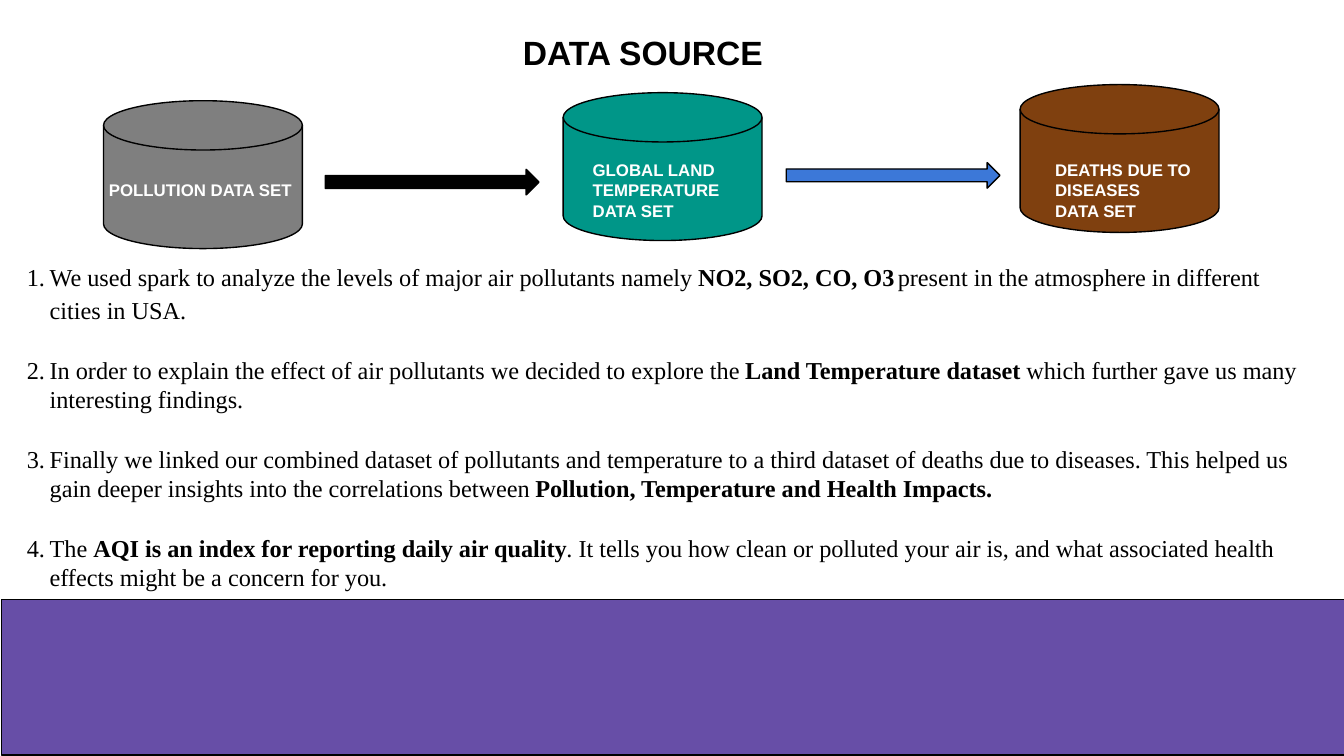
from pptx import Presentation
from pptx.dml.color import RGBColor
from pptx.enum.shapes import MSO_SHAPE
from pptx.enum.text import MSO_ANCHOR, PP_ALIGN
from pptx.oxml.xmlchemy import OxmlElement
from pptx.util import Inches, Pt

COLORS = {
    "black": "000000",
    "white": "FFFFFF",
    "teal": "009688",
    "brown": "7F400F",
    "gray": "7F7F7F",
    "blue": "3C78D8",
    "purple": "674EA7",
}

DATA_SETS = [
    ((0.77, 0.75), "gray", (0, 0.55, 1.71), ["POLLUTION DATA SET"]),
    ((4.19, 0.69), "teal", (0.18, 0.46, 1.13), ["GLOBAL LAND TEMPERATURE", "DATA SET"]),
    ((7.59, 0.63), "brown", (0.22, 0.52, 1.18), ["DEATHS DUE TO DISEASES", "DATA SET"]),
]
ARROWS = [((2.42, 1.26), "black"), ((5.85, 1.21), "blue")]

FINDINGS = [
    [("We used spark to analyze the levels of major air pollutants namely ", {}),
     ("NO2, SO2, CO, O3", {"bold": True}),
     (" ", {"baseline": -25}),
     ("present in the atmosphere in different cities in USA.", {})],
    [("In order to explain the effect of air pollutants we decided to explore the ", {}),
     ("Land Temperature dataset ", {"bold": True}),
     ("which further gave us many interesting findings.", {})],
    [("Finally we linked our combined dataset of pollutants and temperature to a third "
      "dataset of deaths due to diseases. This helped us gain deeper insights into the "
      "correlations between ", {}),
     ("Pollution, Temperature and Health Impacts.", {"bold": True})],
    [("The ", {}),
     ("AQI is an index for reporting daily air quality", {"bold": True}),
     (". It tells you how clean or polluted your air is, and what associated health "
      "effects might be a concern for you.", {})],
]


def add_text(paragraph, text, size, font="Arial", color="black", bold=False, baseline=0):
    """Append a formatted run to the paragraph."""
    run = paragraph.add_run()
    run.text = text
    run.font.size = Pt(size)
    run.font.name = font
    run.font.bold = bold
    run.font.color.rgb = RGBColor.from_string(COLORS[color])
    if baseline:
        run._r.get_or_add_rPr().set("baseline", str(baseline * 1000))


def prepare_frame(shape):
    """Give the shape a wrapping, top-anchored frame with narrow margins."""
    frame = shape.text_frame
    frame.word_wrap = True
    frame.vertical_anchor = MSO_ANCHOR.TOP
    frame.margin_left = frame.margin_right = Inches(0.04)
    frame.margin_top = frame.margin_bottom = Inches(0.04)
    return frame


def add_text_box(slide, left, top, width, height):
    """Add an empty text box and return its frame."""
    box = slide.shapes.add_textbox(Inches(left), Inches(top), Inches(width), Inches(height))
    return prepare_frame(box)


def add_block(slide, kind, left, top, width, height, fill):
    """Add a filled preset shape with a thin black outline."""
    shape = slide.shapes.add_shape(
        kind, Inches(left), Inches(top), Inches(width), Inches(height))
    shape.shadow.inherit = False
    shape.fill.solid()
    shape.fill.fore_color.rgb = RGBColor.from_string(COLORS[fill])
    shape.line.color.rgb = RGBColor.from_string(COLORS["black"])
    shape.line.width = Pt(0.75)


def add_title(slide, left, top, width, height):
    """Place and format the title placeholder."""
    title = slide.shapes.title
    title.left, title.top = Inches(left), Inches(top)
    title.width, title.height = Inches(width), Inches(height)
    paragraph = prepare_frame(title).paragraphs[0]
    paragraph.alignment = PP_ALIGN.LEFT
    add_text(paragraph, "DATA SOURCE", 18, bold=True)


def add_data_set(slide, left, top, fill, label_box, lines):
    """Draw a data set cylinder with its label."""
    add_block(slide, MSO_SHAPE.FLOWCHART_MAGNETIC_DISK, left, top, 1.48, 1.1, fill)
    label_left, label_top, label_width = label_box
    frame = add_text_box(slide, left + label_left, top + label_top, label_width, 0.4)
    for index, line in enumerate(lines):
        paragraph = frame.add_paragraph() if index else frame.paragraphs[0]
        add_text(paragraph, line, 9, color="white", bold=True)


def add_findings(slide, left, top, width, height):
    """Write the numbered findings."""
    frame = add_text_box(slide, left, top, width, height)
    for index, runs in enumerate(FINDINGS):
        paragraph = frame.add_paragraph() if index else frame.paragraphs[0]
        if index:
            paragraph.space_before = Pt(16.5)
        properties = paragraph._p.get_or_add_pPr()
        properties.set("marL", str(Inches(0.18)))
        properties.set("indent", str(Inches(-0.17)))
        numbering = OxmlElement("a:buAutoNum")
        numbering.set("type", "arabicPeriod")
        properties.append(numbering)
        for text, style in runs:
            add_text(paragraph, text, 13, font="Times New Roman", **style)


def main():
    """Build and save the slide."""
    presentation = Presentation()
    presentation.slide_width = Inches(10)
    presentation.slide_height = Inches(10 * 9 / 16)
    slide = presentation.slides.add_slide(presentation.slide_layouts[5])
    add_title(slide, 3.85, 0.2, 2.21, 0.25)
    for (left, top), fill, label_box, lines in DATA_SETS:
        add_data_set(slide, left, top, fill, label_box, lines)
    for (left, top), fill in ARROWS:
        add_block(slide, MSO_SHAPE.RIGHT_ARROW, left, top, 1.59, 0.19, fill)
    add_findings(slide, 0.15, 1.91, 9.56, 2.37)
    add_block(slide, MSO_SHAPE.RECTANGLE, 0.01, 4.46, 10, 1.16, "purple")
    presentation.save("out.pptx")


if __name__ == "__main__":
    main()
